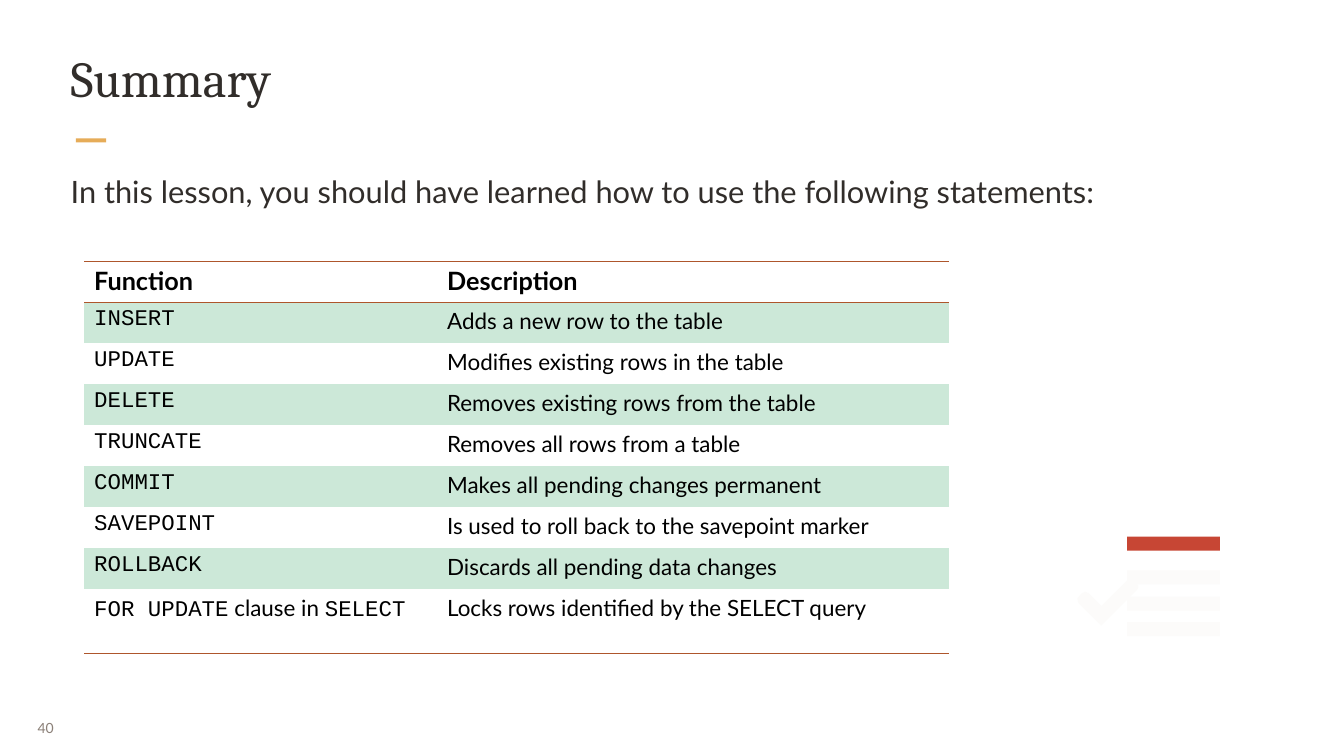
"""Build the lesson summary slide with its table of statements."""
from lxml.etree import SubElement
from pptx import Presentation
from pptx.dml.color import RGBColor
from pptx.enum.shapes import MSO_SHAPE
from pptx.enum.text import MSO_ANCHOR, MSO_AUTO_SIZE, PP_ALIGN
from pptx.oxml.ns import qn
from pptx.util import Cm, Pt

COLORS = {
    "text": "312D2A", "number": "8B8078", "accent": "E6AC58", "red": "C74634",
    "pale": "FCFBFA", "band": "CCE8D8", "rule": "AE562C", "black": "000000",
}
TEXT_FONT, CODE_FONT = "Lato", "Courier New"
NO_STYLE = "{2D5ABB26-0587-4C30-8999-92F81FD0307C}"
STATEMENTS = [
    ("Function", "Description"),
    ("INSERT", "Adds a new row to the table"),
    ("UPDATE", "Modifies existing rows in the table"),
    ("DELETE", "Removes existing rows from the table"),
    ("TRUNCATE", "Removes all rows from a table"),
    ("COMMIT", "Makes all pending changes permanent"),
    ("SAVEPOINT", "Is used to roll back to the savepoint marker"),
    ("ROLLBACK", "Discards all pending data changes"),
    ("FOR UPDATE| clause in |SELECT", "Locks rows identified by the SELECT query"),
]
CHECK_POINTS = [
    (40.77, 22.81), (40.72, 22.63), (40.77, 22.56), (40.89, 22.43), (41.02, 22.37),
    (41.15, 22.43), (41.63, 22.91), (42.6, 21.95), (42.72, 21.88), (42.85, 21.95),
    (42.98, 22.07), (43.03, 22.19), (42.98, 22.3), (41.63, 23.65),
]


def set_font(font, name, size, color, bold=False):
    font.name, font.size, font.bold = name, Pt(size), bold
    font.color.rgb = RGBColor.from_string(COLORS[color])


def paint(shape, color):
    shape.shadow.inherit = False
    shape.fill.solid()
    shape.fill.fore_color.rgb = RGBColor.from_string(COLORS[color])
    shape.line.fill.background()


presentation = Presentation()
presentation.slide_width, presentation.slide_height = Cm(50.8), Cm(28.58)
slide = presentation.slides.add_slide(presentation.slide_layouts[1])

title, body = slide.shapes.title, slide.placeholders[1]
for placeholder, top, height, text, font_name, size in (
    (title, 1.7, 3.25, "Summary", "Cambria", 54),
    (body, 6.32, 9.58, "In this lesson, you should have learned how to use "
     "the following statements:", TEXT_FONT, 33),
):
    placeholder.left, placeholder.top = Cm(2.59), Cm(top)
    placeholder.width, placeholder.height = Cm(45.62), Cm(height)
    frame = placeholder.text_frame
    frame.text = text
    frame.auto_size = MSO_AUTO_SIZE.NONE
    frame.vertical_anchor = MSO_ANCHOR.TOP
    frame.margin_left = frame.margin_right = Cm(0.08)
    frame.margin_top = frame.margin_bottom = Cm(0.08)
    paragraph = frame.paragraphs[0]
    paragraph.alignment = PP_ALIGN.LEFT
    paragraph.space_before = Pt(0)
    properties = paragraph._p.get_or_add_pPr()
    properties.set("marL", "0")
    properties.set("indent", "0")
    SubElement(properties, qn("a:buNone"))
    set_font(paragraph.font, font_name, size, "text")
body.text_frame.paragraphs[0].line_spacing = 1.1

accent_bar = slide.shapes.add_shape(
    MSO_SHAPE.RECTANGLE, Cm(2.87), Cm(5.23), Cm(1.14), Cm(0.15))
paint(accent_bar, "accent")

checklist = slide.shapes.add_group_shape()
for top, color in ((20.29, "red"), (21.56, "pale"), (22.56, "pale"), (23.52, "pale")):
    bar = checklist.shapes.add_shape(
        MSO_SHAPE.RECTANGLE, Cm(42.6), Cm(top), Cm(3.51), Cm(0.53))
    paint(bar, color)
points = [(Cm(x), Cm(y)) for x, y in CHECK_POINTS]
builder = checklist.shapes.build_freeform(*points[0])
builder.add_line_segments(points[1:], close=True)
paint(builder.convert_to_shape(), "pale")

page_number = slide.shapes.add_textbox(Cm(1.09), Cm(26.77), Cm(1.65), Cm(1.47))
frame = page_number.text_frame
frame.text = "40"
frame.word_wrap = False
frame.vertical_anchor = MSO_ANCHOR.MIDDLE
frame.margin_left = frame.margin_right = Cm(0.33)
frame.margin_top = frame.margin_bottom = Cm(0.18)
frame.paragraphs[0].alignment = PP_ALIGN.JUSTIFY
set_font(frame.paragraphs[0].font, TEXT_FONT, 15, "number")

last_row = len(STATEMENTS) - 1
table = slide.shapes.add_table(
    len(STATEMENTS), 2, Cm(3.18), Cm(9.88), Cm(32.69), Cm(14.81)).table
table._tbl.tblPr.find(qn("a:tableStyleId")).text = NO_STYLE
table.horz_banding = False
table.columns[0].width, table.columns[1].width = Cm(13.34), Cm(19.35)
for row_index, texts in enumerate(STATEMENTS):
    table.rows[row_index].height = Cm(2.41 if row_index == last_row else 1.55)
    edges = {0: ("a:lnT", "a:lnB"), last_row: ("a:lnB",)}.get(row_index, ())
    for column_index, text in enumerate(texts):
        cell = table.cell(row_index, column_index)
        cell.margin_left = cell.margin_right = Cm(0.38)
        cell.margin_top = cell.margin_bottom = Cm(0.18)
        for edge in edges:
            line = SubElement(cell._tc.get_or_add_tcPr(), qn(edge), w=str(Pt(1)))
            fill = SubElement(line, qn("a:solidFill"))
            SubElement(fill, qn("a:srgbClr"), val=COLORS["rule"])
        if row_index % 2:
            cell.fill.solid()
            cell.fill.fore_color.rgb = RGBColor.from_string(COLORS["band"])
        else:
            cell.fill.background()
        is_header = row_index == 0
        is_code = column_index == 0 and not is_header
        paragraph = cell.text_frame.paragraphs[0]
        set_font(paragraph.font, CODE_FONT if is_code else TEXT_FONT,
                 27 if is_header else 24, "black", is_header)
        for part_index, part in enumerate(text.split("|")):
            run = paragraph.add_run()
            run.text = part
            if part_index % 2:
                run.font.name = TEXT_FONT

presentation.save("out.pptx")
